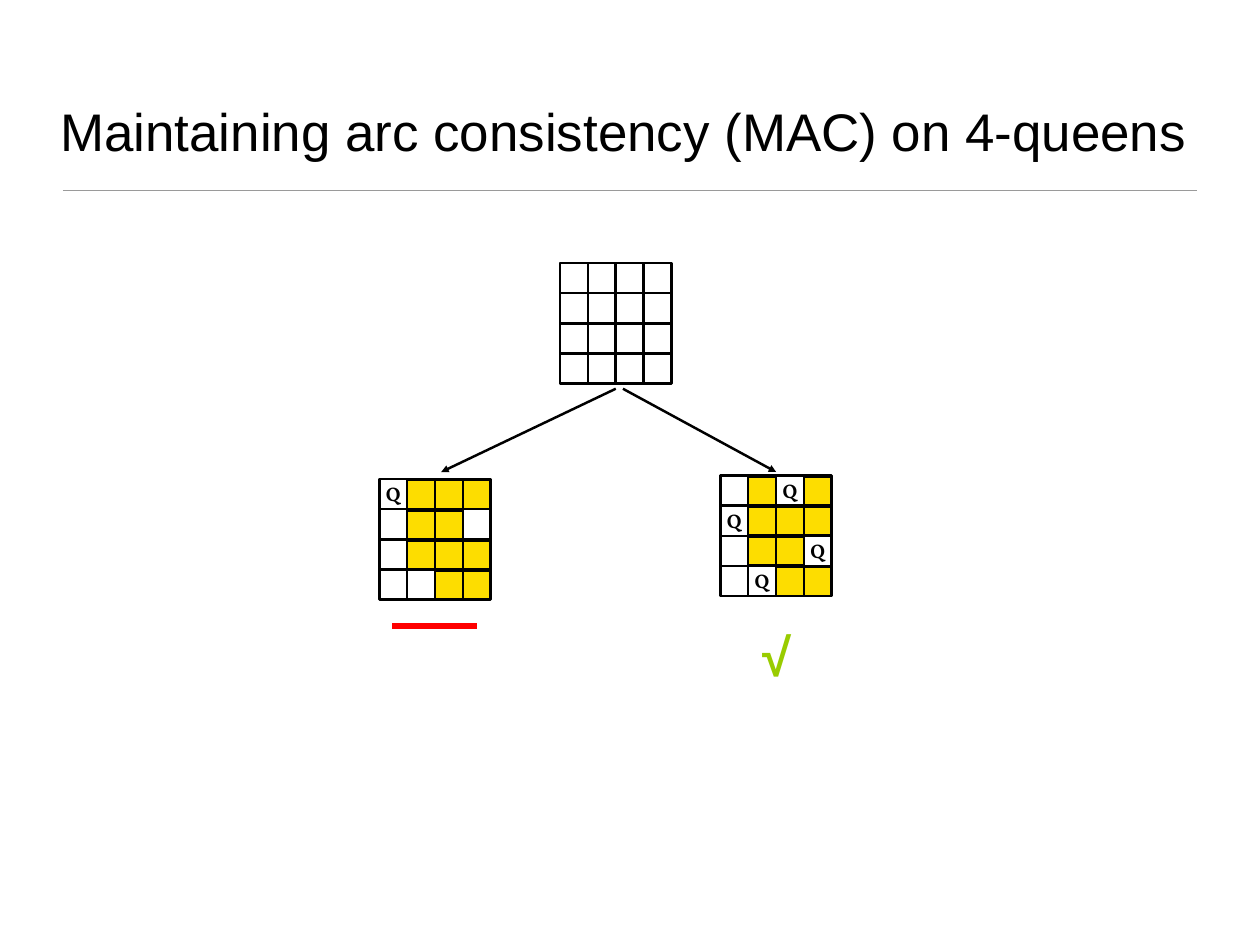
from pptx import Presentation, util as u
from pptx.dml.color import RGBColor
from pptx.enum import shapes, text
from pptx.oxml.ns import qn
from lxml import etree

BLACK = RGBColor(0x00, 0x00, 0x00)
GREY = RGBColor(0x9A, 0x9A, 0x9A)
YELLOW = RGBColor(0xFD, 0xDD, 0x00)
RED = RGBColor(0xFF, 0x00, 0x00)
GREEN = RGBColor(0x99, 0xCC, 0x00)

SLIDE_W, SLIDE_H = u.Inches(14.22), u.Inches(10.67)

# Board grid, in percent of the slide's width and height
SIZE = 4
CELL_W, CELL_H = 2.21, 3.19
PRUNED_W, PRUNED_H, PRUNED_DROP = 2.18, 2.9, 0.19
QUEEN_W, QUEEN_H = 3.3, 3.84

# Q is a queen, # a pruned square, . an open square
BOARDS = [
    (44.44, 27.84, ["....", "....", "....", "...."]),
    (30.1, 50.7, ["Q###", ".##.", ".###", "..##"]),
    (57.17, 50.33, [".#Q#", "Q###", ".##Q", ".Q##"]),
]


def across(share):
    return round(SLIDE_W * share / 100)


def down(share):
    return round(SLIDE_H * share / 100)


def box(x, y, w, h):
    return across(x), down(y), across(w), down(h)


def apply(obj, values):
    for name, value in values.items():
        setattr(obj, name, value)


def write(tf, words, size, font, color, align, frame):
    apply(tf, {"word_wrap": True, **frame})
    p = tf.paragraphs[0]
    p.alignment = align
    r = p.add_run()
    r.text = words
    apply(r.font, {"name": font, "size": u.Pt(size)})
    r.font.color.rgb = color
    return r


def add_label(parent, area, words, size, font, color, inset):
    tf = parent.add_textbox(*box(*area)).text_frame
    side, edge = (u.Inches(value) for value in inset)
    frame = {"margin_left": side, "margin_right": side,
             "margin_top": edge, "margin_bottom": edge,
             "auto_size": text.MSO_AUTO_SIZE.SHAPE_TO_FIT_TEXT}
    r = write(tf, words, size, font, color, text.PP_ALIGN.CENTER, frame)
    r.font.bold = True


def add_line(parent, x1, y1, x2, y2, color=BLACK, width=2, arrow=False):
    s = parent.add_connector(shapes.MSO_CONNECTOR.STRAIGHT,
                             across(x1), down(y1), across(x2), down(y2))
    s.line.color.rgb = color
    s.line.width = u.Pt(width)
    if arrow:
        etree.SubElement(s.line._get_or_add_ln(), qn("a:tailEnd"), type="triangle")
    etree.SubElement(s._element.spPr, qn("a:effectLst"))


def add_rect(parent, area, width, fill=None):
    s = parent.add_shape(shapes.MSO_SHAPE.RECTANGLE, *box(*area))
    s.shadow.inherit = False
    if fill is None:
        s.fill.background()
    else:
        s.fill.solid()
        s.fill.fore_color.rgb = fill
    s.line.color.rgb = BLACK
    s.line.width = u.Pt(width)


def add_board(slide, x, y, rows):
    parent = slide.shapes.add_group_shape().shapes
    squares = [(mark, x + col * CELL_W, y + row * CELL_H)
               for row, marks in enumerate(rows) for col, mark in enumerate(marks)]
    # Pruned squares
    for mark, left, top in squares:
        if mark == "#":
            add_rect(parent, (left, top + PRUNED_DROP, PRUNED_W, PRUNED_H), 1, YELLOW)
    # Frame and grid lines
    w, h = SIZE * CELL_W, SIZE * CELL_H
    add_rect(parent, (x, y, w, h), 2)
    for i in range(1, SIZE):
        add_line(parent, x + i * CELL_W, y, x + i * CELL_W, y + h)
        add_line(parent, x, y + i * CELL_H, x + w, y + i * CELL_H)
    # Queens, centred on their squares
    for mark, left, top in squares:
        if mark == "Q":
            area = (left + (CELL_W - QUEEN_W) / 2, top + (CELL_H - QUEEN_H) / 2,
                    QUEEN_W, QUEEN_H)
            add_label(parent, area, "Q", 16, "Vollkorn", BLACK, (0.14, 0.07))


def add_title(slide, words):
    s = slide.shapes.title
    apply(s, dict(zip(("left", "top", "width", "height"),
                      box(4.36, 3.37, 91.21, 14.34))))
    frame = {f"margin_{side}": u.Inches(0.06)
             for side in ("left", "right", "top", "bottom")}
    frame.update(vertical_anchor=text.MSO_ANCHOR.BOTTOM,
                 auto_size=text.MSO_AUTO_SIZE.NONE)
    write(s.text_frame, words, 43, "Arial", BLACK, text.PP_ALIGN.LEFT, frame)


def main():
    prs = Presentation()
    apply(prs, {"slide_width": SLIDE_W, "slide_height": SLIDE_H})
    slide = prs.slides.add_slide(prs.slide_layouts.get_by_name("Title Only"))

    # Title and rule
    add_title(slide, "Maintaining arc consistency (MAC) on 4-queens")
    add_line(slide.shapes, 5, 20.15, 95, 20.15, GREY, 0.75)

    # Search tree
    for x, y, rows in BOARDS:
        add_board(slide, x, y, rows)
    for start, end in ((48.87, 35.02), (49.44, 61.6)):
        add_line(slide.shapes, start, 41.14, end, 49.95, arrow=True)

    # Outcomes: dead end and solution
    add_line(slide.shapes, 31.15, 66.26, 37.83, 66.26, RED, 5)
    add_label(slide.shapes, (59.42, 65.51, 4.43, 7.69), "√", 43, "Arial", GREEN,
              (0.1, 0.05))

    prs.save("out.pptx")


if __name__ == "__main__":
    main()
